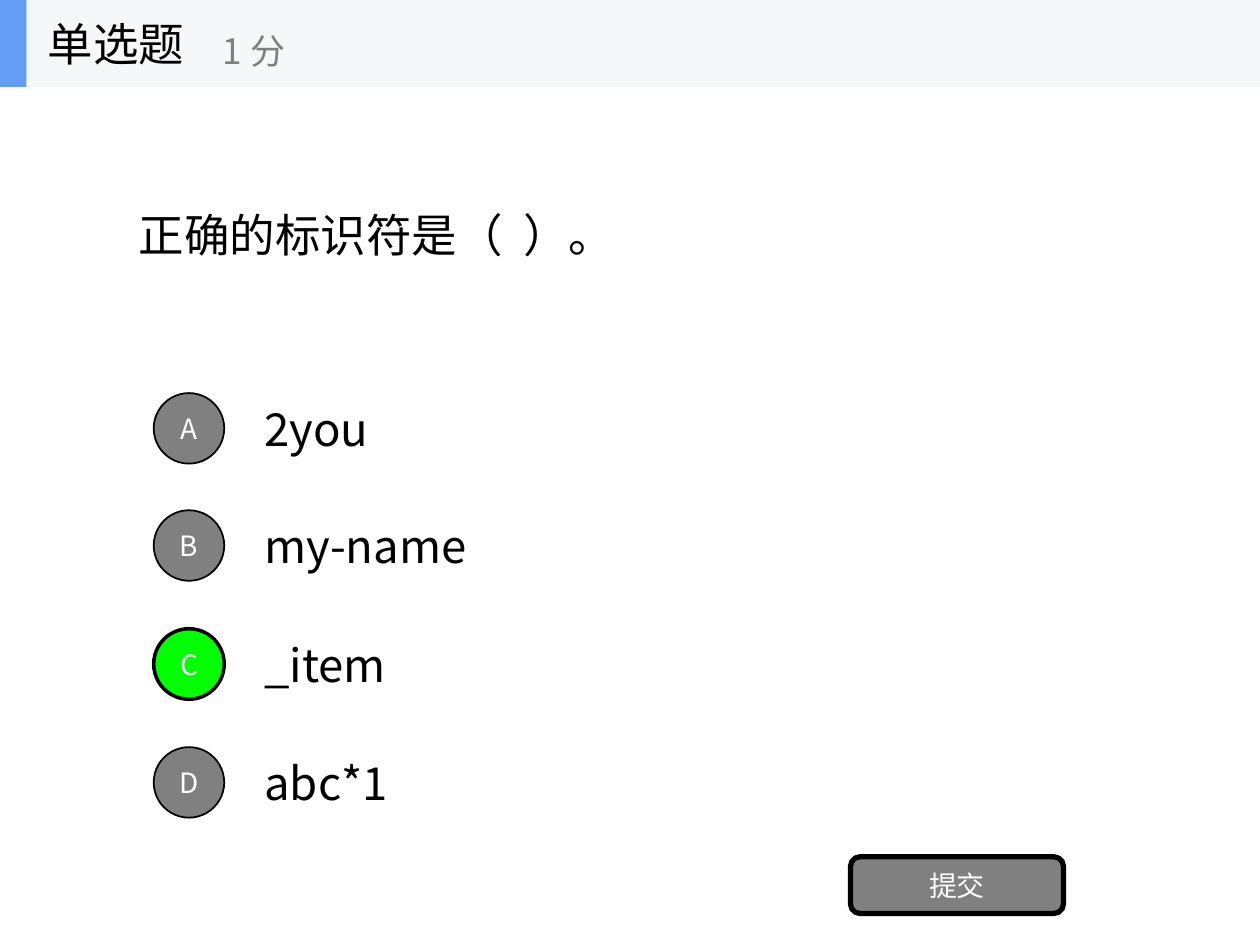
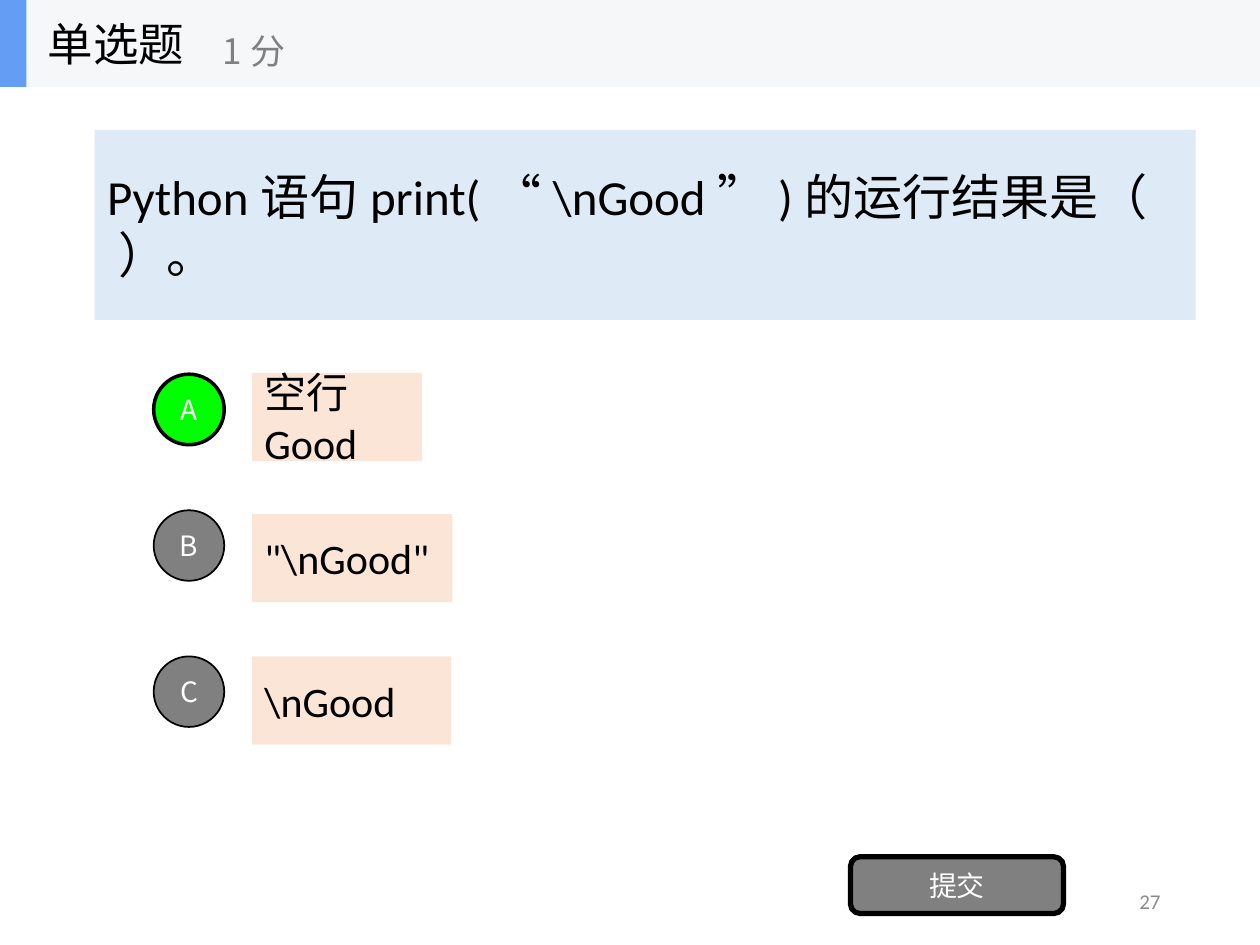
from lxml import etree
from pptx import Presentation
from pptx.dml.color import RGBColor
from pptx.enum.shapes import MSO_SHAPE
from pptx.enum.text import MSO_ANCHOR, MSO_AUTO_SIZE, PP_ALIGN
from pptx.oxml.ns import qn
from pptx.util import Pt

RECT = MSO_SHAPE.RECTANGLE
OVAL = MSO_SHAPE.OVAL
ROUND = MSO_SHAPE.ROUNDED_RECTANGLE
MIDDLE = MSO_ANCHOR.MIDDLE
FIXED = MSO_AUTO_SIZE.NONE
LEFT, CENTER, RIGHT = PP_ALIGN.LEFT, PP_ALIGN.CENTER, PP_ALIGN.RIGHT

SCALE = 9144
TITLE_ONLY = 5
NOTO = "Noto Sans CJK SC"
LATIN = "Calibri"
BLACK, WHITE, GRAY, GREEN = "000000", "FFFFFF", "808080", "00FF00"
BAND, ACCENT, PALE = "F6F7F8", "639EF4", "8C8C8C"
BLUE, PEACH = "DEEBF7", "FBE5D6"


def emu(*px):
    return [n * SCALE for n in px]


def color(code):
    return RGBColor.from_string(code)


class Quiz:
    def __init__(self):
        self.deck = Presentation()
        self.deck.slide_width, self.deck.slide_height = emu(1000, 750)

    def slide(self):
        layout = self.deck.slide_layouts[TITLE_ONLY]
        self.page = self.deck.slides.add_slide(layout)
        self.shapes = self.page.shapes

    def label(self, shape, text, size, font=NOTO, ink=BLACK, align=LEFT):
        frame = shape.text_frame
        frame.text = text
        frame.word_wrap = True
        frame.auto_size = FIXED
        frame.vertical_anchor = MIDDLE
        for para in frame.paragraphs:
            para.alignment = align
            para.font.size = Pt(size)
            para.font.name = font
            para.font.color.rgb = color(ink)
            props = para._p.pPr.find(qn("a:defRPr"))
            etree.SubElement(props, qn("a:ea")).set("typeface", NOTO)

    def title(self, text, box, size, font=NOTO, fill=None):
        shape = self.page.shapes.title
        shape.left, shape.top, shape.width, shape.height = emu(*box)
        self.label(shape, text, size, font)
        if fill:
            shape.fill.solid()
            shape.fill.fore_color.rgb = color(fill)

    def text(self, text, box, size, **style):
        self.label(self.shapes.add_textbox(*emu(*box)), text, size, **style)

    def shape(self, kind, box, fill, line=0):
        shape = self.shapes.add_shape(kind, *emu(*box))
        shape.shadow.inherit = False
        shape.fill.solid()
        shape.fill.fore_color.rgb = color(fill)
        if line:
            shape.line.color.rgb = color(BLACK)
            shape.line.width = Pt(line)
        else:
            shape.line.fill.background()
        return shape

    def header(self):
        self.shapes = self.page.shapes.add_group_shape().shapes
        self.shape(RECT, (0, 0, 1000, 69), BAND)
        self.shape(RECT, (0, 0, 21, 69), ACCENT)
        self.text("单选题", (28, 0, 208, 69), 26)
        self.text("1分", (167, 12, 250, 56), 20, ink=GRAY)
        self.shapes = self.page.shapes

    def button(self, kind, text, box, fill, line):
        shape = self.shape(kind, box, fill, line)
        self.label(shape, text, 16, ink=WHITE, align=CENTER)

    def mark(self, letter, top, right):
        fill, line = (GREEN, 2) if right else (GRAY, 1)
        self.button(OVAL, letter, (122, top, 56, 56), fill, line)

    def submit(self):
        self.button(ROUND, "提交", (675, 680, 169, 45), GRAY, 3)

    def card(self, text, box):
        self.label(self.shape(RECT, box, PEACH), text, 24, LATIN)


def names(quiz):
    quiz.slide()
    quiz.title("正确的标识符是（  ）。", (100, 69, 800, 234), 26)
    options = ["2you", "my-name", "_item", "abc*1"]
    for i, (letter, option) in enumerate(zip("ABCD", options)):
        top = 305 + i * 281 // 3
        quiz.text(option, (200, top, 700, 70), 26)
        quiz.mark(letter, top + 7, letter == "C")
    quiz.submit()
    quiz.header()


def output(quiz):
    quiz.slide()
    quiz.title("Python语句print(“\\nGood”)的运行结果是（     ）。",
               (75, 103, 874, 151), 28, LATIN, BLUE)
    options = [("空行\nGood", 135, 297), ('"\\nGood"', 159, 405),
               ("\\nGood", 158, 521)]
    for i, (letter, (option, width, top)) in enumerate(zip("ABC", options)):
        quiz.card(option, (200, 296 + i * 225 // 2, width, 70))
        quiz.mark(letter, top, letter == "A")
    quiz.submit()
    quiz.header()
    quiz.text("27", (706, 695, 225, 40), 12, font=LATIN, ink=PALE, align=RIGHT)


def main():
    quiz = Quiz()
    names(quiz)
    output(quiz)
    quiz.deck.save("out.pptx")


if __name__ == "__main__":
    main()
